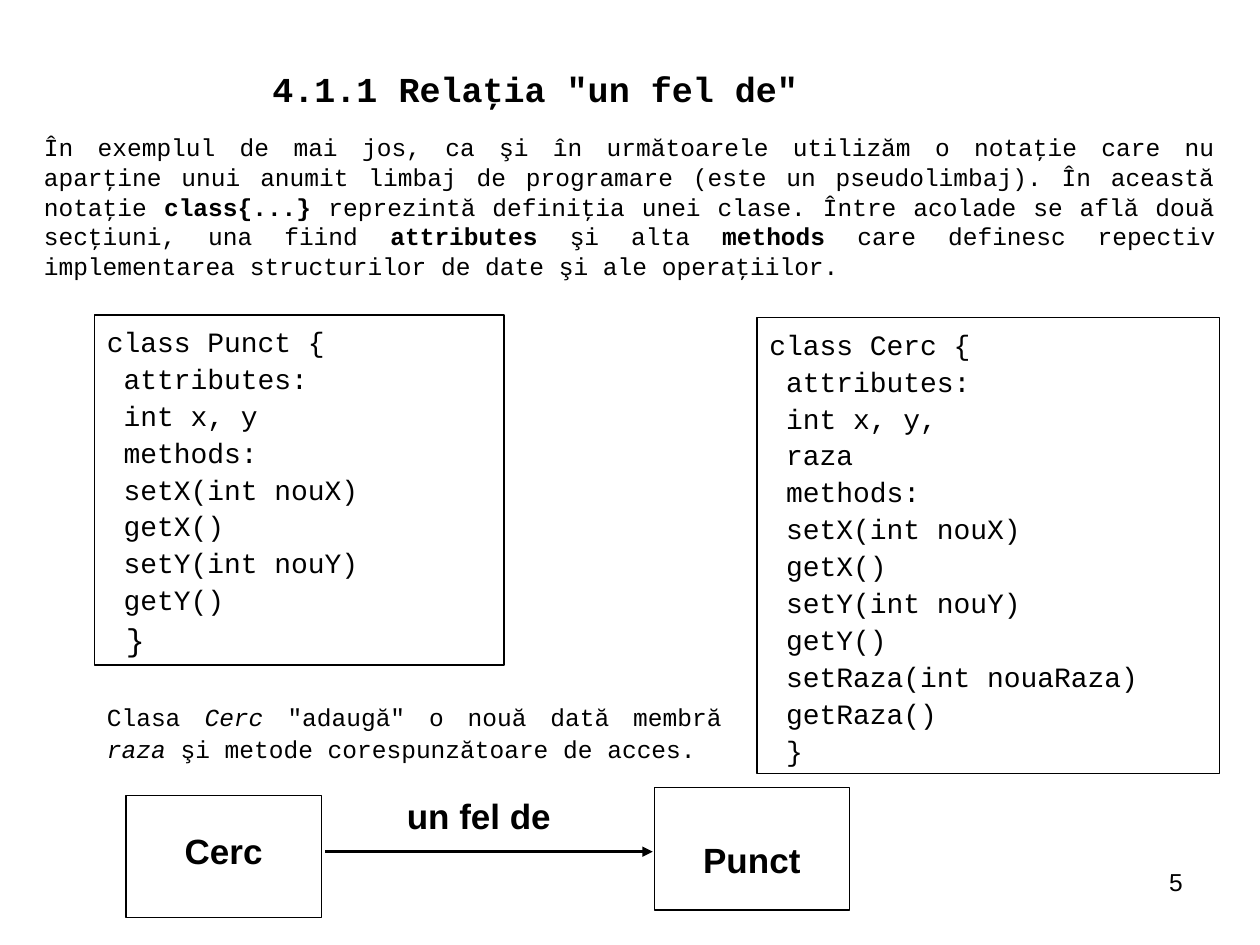
from dataclasses import dataclass

from lxml.etree import SubElement
from pptx import Presentation
from pptx.dml.color import RGBColor
from pptx.enum.shapes import MSO_CONNECTOR as Connector, MSO_SHAPE as Shape
from pptx.enum.text import MSO_ANCHOR as Anchor, PP_ALIGN as Align
from pptx.oxml.ns import qn
from pptx.util import Pt

BLACK = "000000"
WHITE = "FFFFFF"
CODE_FONT = "Courier New"
LABEL_FONT = "Arial"


@dataclass
class Area:
    left: float
    top: float
    width: float
    height: float


@dataclass
class Span:
    text: str
    bold: bool = False
    italic: bool = False
    size: float | None = None


@dataclass
class CodeBox:
    area: Area
    lines: list[Span]


@dataclass
class ClassBox:
    name: str
    area: Area
    margin_top: float = 3.6
    margin_bottom: float = 3.6


def color(value: str) -> RGBColor:
    return RGBColor.from_string(value)


def place(box, area: Area) -> None:
    box.left, box.top = Pt(area.left), Pt(area.top)
    box.width, box.height = Pt(area.width), Pt(area.height)


def write(box, paragraphs: list[list[Span]], *, font=CODE_FONT, size=14, align=Align.LEFT,
          anchor=Anchor.TOP, spacing=1.0, margin_top=3.6, margin_bottom=3.6) -> None:
    frame = box.text_frame
    frame.word_wrap = True
    frame.vertical_anchor = anchor
    frame.margin_left = frame.margin_right = Pt(7.2)
    frame.margin_top, frame.margin_bottom = Pt(margin_top), Pt(margin_bottom)
    for index, spans in enumerate(paragraphs):
        para = frame.add_paragraph() if index else frame.paragraphs[0]
        para.alignment = align
        para.line_spacing = spacing
        for span in spans:
            run = para.add_run()
            run.text = span.text
            run.font.name = font
            run.font.size = Pt(span.size or size)
            run.font.bold = span.bold
            run.font.italic = span.italic
            run.font.color.rgb = color(BLACK)


def add_text(page, area: Area, spans: list[Span], **text_format) -> None:
    box = page.shapes.add_textbox(0, 0, 0, 0)
    place(box, area)
    write(box, [spans], **text_format)


def add_box(page, area: Area, paragraphs: list[list[Span]], *, fill=None, **text_format) -> None:
    box = page.shapes.add_shape(Shape.RECTANGLE, 0, 0, 0, 0)
    place(box, area)
    box.shadow.inherit = False
    if fill:
        box.fill.solid()
        box.fill.fore_color.rgb = color(fill)
    else:
        box.fill.background()
    box.line.color.rgb = color(BLACK)
    box.line.width = Pt(0.75)
    write(box, paragraphs, **text_format)


def add_arrow(page, left: float, right: float, y: float) -> None:
    arrow = page.shapes.add_connector(Connector.STRAIGHT, Pt(left), Pt(y), Pt(right), Pt(y))
    arrow.line.color.rgb = color(BLACK)
    arrow.line.width = Pt(1.5)
    SubElement(arrow.line._get_or_add_ln(), qn("a:tailEnd"), type="triangle")
    SubElement(arrow._element.spPr, qn("a:effectLst"))


ACCESSORS = [" setX(int nouX)", " getX()", " setY(int nouY)", " getY()"]
POINT_LINES = ["class Punct {", " attributes:", " int x, y", " methods:", *ACCESSORS]
CIRCLE_LINES = ["class Cerc {", " attributes:", " int x, y,", " raza", " methods:",
                *ACCESSORS, " setRaza(int nouaRaza)", " getRaza()", " }"]

CODE_BOXES = [
    CodeBox(Area(54, 180, 234, 200), [*map(Span, POINT_LINES), Span(" }", size=18)]),
    CodeBox(Area(432.6, 181.6, 264.4, 260.4), [*map(Span, CIRCLE_LINES)]),
]

CLASS_BOXES = [
    ClassBox("Cerc", Area(72, 454.5, 111.6, 70), margin_bottom=10.8),
    ClassBox("Punct", Area(373.8, 450, 111.6, 70), margin_top=15.6),
]

INTRO = [
    Span("În exemplul de mai jos, ca şi în următoarele utilizăm o notaţie care nu aparţine "
         "unui anumit limbaj de programare (este un pseudolimbaj). În această notaţie "),
    Span("class{...}", bold=True),
    Span(" reprezintă definiţia unei clase. Între acolade se află două secţiuni, una fiind "),
    Span("attributes", bold=True),
    Span(" şi alta "),
    Span("methods", bold=True),
    Span(" care definesc repectiv implementarea structurilor de date şi ale operaţiilor."),
]

REMARK = [
    Span("Clasa "),
    Span("Cerc ", italic=True),
    Span("\"adaugă\" o nouă dată membră "),
    Span("raza ", italic=True),
    Span("şi metode corespunzătoare de acces."),
]


def main() -> None:
    deck = Presentation()
    deck.slide_width, deck.slide_height = Pt(720), Pt(540)
    page = deck.slides.add_slide(deck.slide_layouts[5])

    title = page.shapes.title
    place(title, Area(90, 34.6, 432, 31.7))
    write(title, [[Span("4.1.1 Relaţia \"un fel de\"", bold=True)]],
          size=20, align=Align.CENTER, anchor=Anchor.BOTTOM)

    add_text(page, Area(18, 72, 684, 101.5), INTRO, align=Align.JUSTIFY, spacing=1.01)
    for code in CODE_BOXES:
        add_box(page, code.area, [[line] for line in code.lines], size=16, spacing=1.1)
    add_text(page, Area(54, 396, 365.8, 44.6), REMARK, align=Align.JUSTIFY, spacing=1.1)

    label_format = dict(font=LABEL_FONT, size=20, align=Align.CENTER, anchor=Anchor.MIDDLE)
    for item in CLASS_BOXES:
        add_box(page, item.area, [[Span(item.name, bold=True)]], fill=WHITE,
                margin_top=item.margin_top, margin_bottom=item.margin_bottom, **label_format)
    add_text(page, Area(189.4, 450, 168.5, 34.6), [Span("un fel de", bold=True)],
             margin_bottom=6.6, **label_format)
    add_arrow(page, 185.8, 373, 486.7)

    add_text(page, Area(516, 492, 167, 37.4), [Span("5")], font=LABEL_FONT, align=Align.RIGHT)
    deck.save("out.pptx")


if __name__ == "__main__":
    main()
